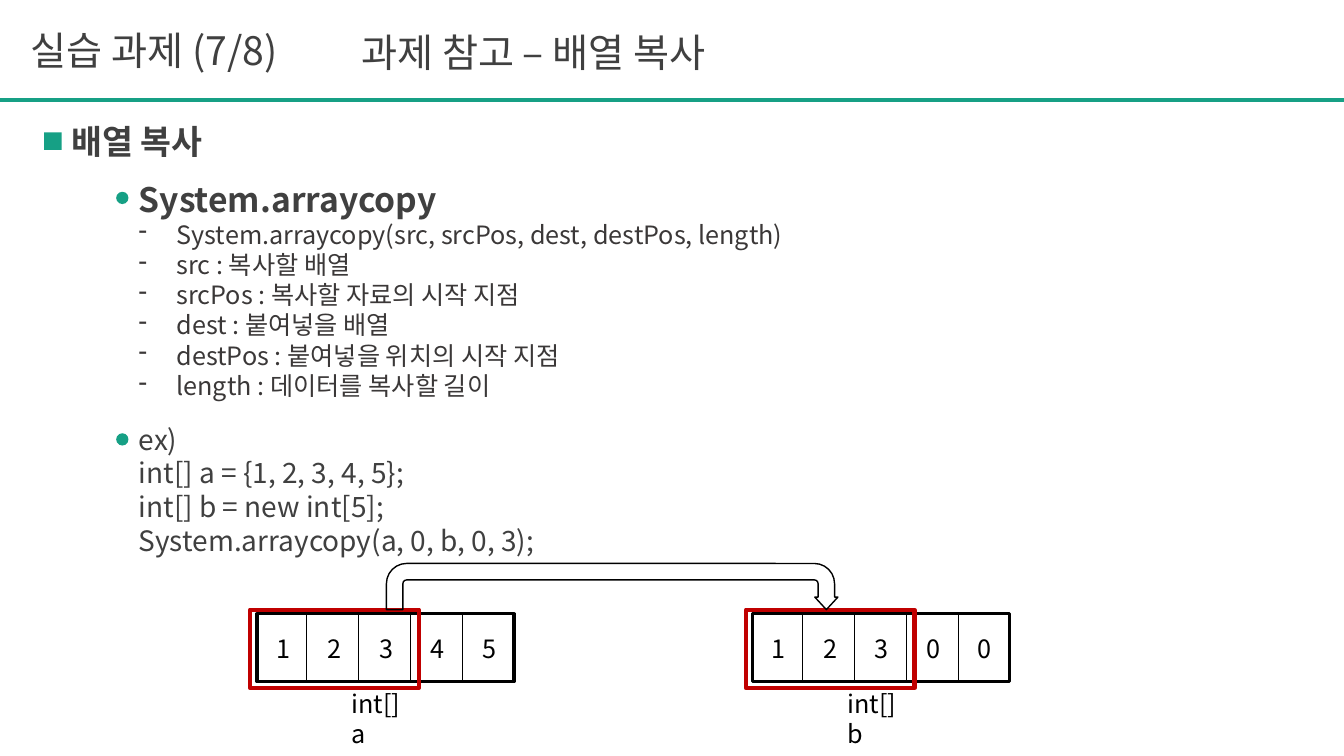
from lxml import etree
from pptx import Presentation
from pptx import util as u
from pptx.dml.color import RGBColor
from pptx.enum import shapes, text
from pptx.oxml import ns

TEAL = RGBColor(0x16, 0xA0, 0x85)
GRAY = RGBColor(0x40, 0x40, 0x40)
DARK = RGBColor(0x3B, 0x38, 0x38)
BLACK = RGBColor(0, 0, 0)
WHITE = RGBColor(255, 255, 255)
RED = RGBColor(0xC0, 0, 0)
FONT = "Noto Sans CJK KR"

TITLE = {"size": u.Pt(28), "bold": False, "color": GRAY}
HEADING = {"size": u.Pt(24), "bold": True, "color": GRAY}
DETAIL = {"size": u.Pt(18), "bold": False, "color": DARK}
CODE = {"size": u.Pt(20), "bold": False, "color": GRAY}
CELL = {"size": u.Pt(18), "bold": False, "color": BLACK}

PARAMETERS = [
    "System.arraycopy(src, srcPos, dest, destPos, length)",
    "src : 복사할 배열",
    "srcPos : 복사할 자료의 시작 지점",
    "dest : 붙여넣을 배열",
    "destPos : 붙여넣을 위치의 시작 지점",
    "length : 데이터를 복사할 길이",
]
EXAMPLE = [
    "ex)",
    "int[] a = {1, 2, 3, 4, 5};",
    "int[] b = new int[5];",
    "System.arraycopy(a, 0, b, 0, 3);",
]
ARRAYS = [(183.6, "12345", "int[] a"), (537.8, "12300", "int[] b")]
ARRAY_TOP, ARRAY_WIDTH, ARRAY_HEIGHT = 438.5, 183.6, 48.5
FIRST_CELL, CELL_PITCH = 35.5, 37


def points(*lengths):
    """Convert numbers to lengths in points."""
    return [u.Pt(length) for length in lengths]


def add_child(parent, tag, **attributes):
    """Append a DrawingML element and return it."""
    return etree.SubElement(parent, ns.qn(tag), attributes)


def add_run(paragraph, words, style):
    """Write words in a paragraph with the given style."""
    run = paragraph.add_run()
    run.text = words
    for name, value in style.items():
        if name == "color":
            run.font.color.rgb = value
        else:
            setattr(run.font, name, value)
    run.font.name = FONT
    add_child(run.font._element, "a:ea", typeface=FONT)


def add_dash(paragraph):
    """Give a paragraph a hanging dash bullet."""
    properties = paragraph._p.get_or_add_pPr()
    indent = u.Pt(27)
    properties.set("marL", str(indent))
    properties.set("indent", str(-indent))
    add_child(properties, "a:buChar", char="-")


def add_text(parent, box, lines):
    """Add a wrapped text box of (words, style) lines."""
    frame = parent.add_textbox(*points(*box)).text_frame
    frame.word_wrap = True
    frame.auto_size = text.MSO_AUTO_SIZE.SHAPE_TO_FIT_TEXT
    for index, (words, style) in enumerate(lines):
        paragraph = frame.add_paragraph() if index else frame.paragraphs[0]
        add_run(paragraph, words, style)
        if style is DETAIL:
            add_dash(paragraph)


def add_figure(parent, kind, box, fill=None, line=None, weight=1):
    """Add a flat preset shape."""
    figure = parent.add_shape(kind, *points(*box))
    figure.shadow.inherit = False
    if fill is None:
        figure.fill.background()
    else:
        figure.fill.solid()
        figure.fill.fore_color.rgb = fill
    if line is None:
        figure.line.fill.background()
    else:
        figure.line.color.rgb = line
        figure.line.width = u.Pt(weight)
    return figure


def add_line(parent, ends, color, weight):
    """Add a straight line without shadow."""
    line = parent.add_connector(shapes.MSO_CONNECTOR.STRAIGHT, *points(*ends))
    line.line.color.rgb = color
    line.line.width = u.Pt(weight)
    add_child(line._element.spPr, "a:effectLst")


def add_array(parent, left, values, label):
    """Add a grouped row of array cells with its label."""
    cells = parent.add_group_shape().shapes
    frame = (left, ARRAY_TOP, ARRAY_WIDTH, ARRAY_HEIGHT)
    add_figure(cells, shapes.MSO_SHAPE.RECTANGLE, frame, WHITE, BLACK, 2.25)
    for index, value in enumerate(values):
        value_left = left + 6.5 + index * 36.8
        add_text(cells, (value_left, 448.5, 24.5, 28.8), [(value, CELL)])
    for index in range(len(values) - 1):
        x = left + FIRST_CELL + index * CELL_PITCH
        add_line(cells, (x, ARRAY_TOP, x, ARRAY_TOP + ARRAY_HEIGHT), BLACK, 0.5)
    add_text(cells, (left + 60.5, 488, 58, 28.8), [(label, CELL)])


def main():
    """Build the array copy slide."""
    deck = Presentation()
    deck.slide_width, deck.slide_height = points(960, 540)
    parts = deck.slides.add_slide(deck.slide_layouts[6]).shapes
    kinds = shapes.MSO_SHAPE

    add_line(parts, (0, 71.5, 960, 71.5), TEAL, 3)
    add_text(parts, (15, 15, 230, 41), [("실습 과제 (7/8)", TITLE)])
    add_text(parts, (251, 17, 700, 41), [("과제 참고 – 배열 복사", TITLE)])

    add_figure(parts, kinds.RECTANGLE, (31.5, 94.5, 12.5, 12.5), TEAL)
    add_text(parts, (44, 83, 384.5, 36), [("배열 복사", HEADING)])
    for dot_top in (137, 309.5):
        add_figure(parts, kinds.OVAL, (83, dot_top, 8.8, 8.8), TEAL)
    details = [(words, DETAIL) for words in PARAMETERS]
    add_text(parts, (92, 124, 855, 167),
             [("System.arraycopy", HEADING)] + details)
    add_text(parts, (92, 298, 813.5, 104.5), [(words, CODE) for words in EXAMPLE])

    for left, values, label in ARRAYS:
        add_array(parts, left, values, label)
        copied = (left - 5, 435.5, 120.5, 56)
        add_figure(parts, kinds.RECTANGLE, copied, line=RED, weight=3)
    arrow = add_figure(parts, kinds.U_TURN_ARROW, (276, 402.5, 322.5, 33), line=BLACK)
    for index, ratio in enumerate((0.357, 0.25, 0.271, 0.438, 1)):
        arrow.adjustments[index] = ratio

    deck.save("out.pptx")


main()
